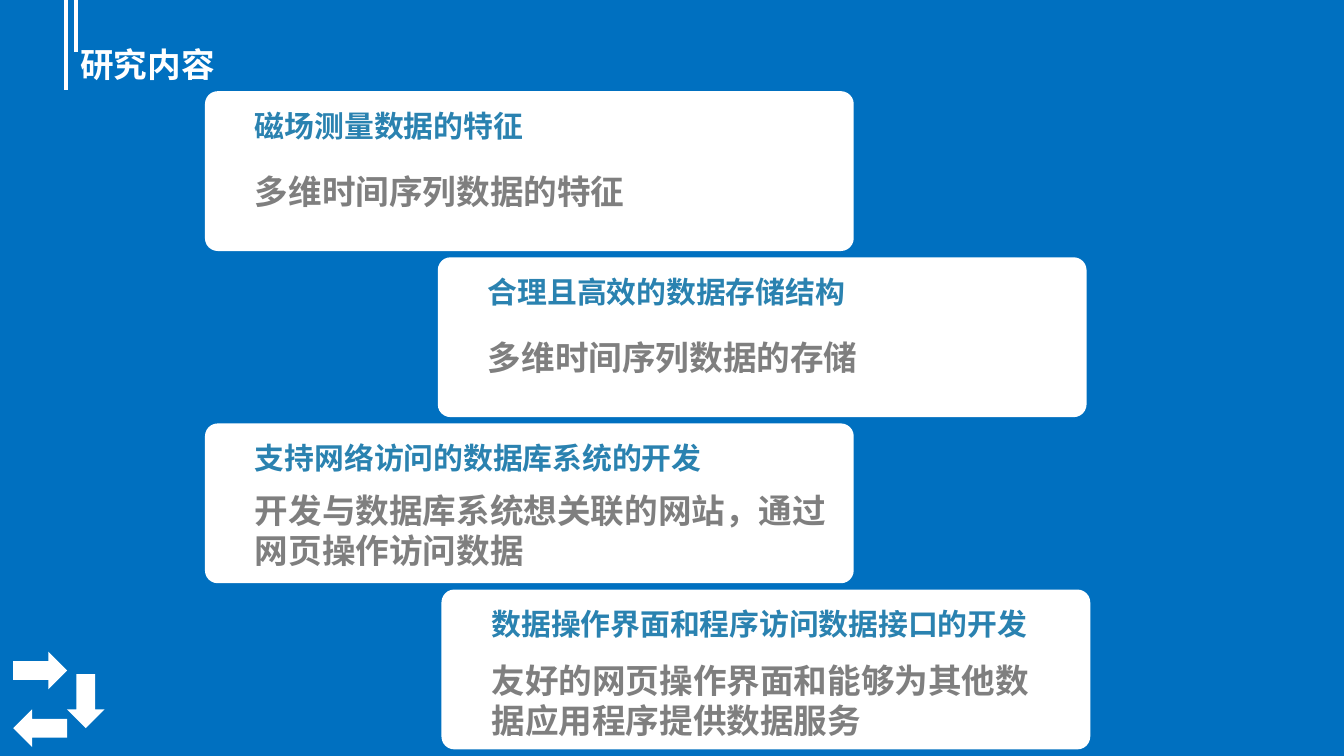
from pptx import Presentation
from pptx.dml.color import RGBColor
from pptx.enum.shapes import MSO_CONNECTOR, MSO_SHAPE
from pptx.enum.text import MSO_ANCHOR
from pptx.oxml.ns import qn
from pptx.util import Cm, Pt

STRAIGHT = MSO_CONNECTOR.STRAIGHT
ROUNDED = MSO_SHAPE.ROUNDED_RECTANGLE
ARROW = MSO_SHAPE.RIGHT_ARROW
MIDDLE = MSO_ANCHOR.MIDDLE
TOP = MSO_ANCHOR.TOP

COLOURS = {"background": "0070C0", "white": "FFFFFF",
           "heading": "2A82B0", "body": "7F7F7F"}
FONT = "DejaVu Sans"
TITLE_FORMAT = {"name": FONT, "size": Pt(18), "bold": True}
HEADING_FORMAT = {"name": FONT, "size": Pt(16), "bold": True}

CARD_WIDTH, CARD_HEIGHT = 12.19, 2.95
CARD_TOP, CARD_PITCH = 1.76, 3.14
# left edge, heading, body, offset of the body from the card top, body width
CARDS = [
    (3.91, "磁场测量数据的特征", "多维时间序列数据的特征", 1.35, 10.7),
    (8.31, "合理且高效的数据存储结构", "多维时间序列数据的存储", 1.35, 10.7),
    (3.91, "支持网络访问的数据库系统的开发",
     "开发与数据库系统想关联的网站，通过网页操作访问数据", 1.09, 11.35),
    (8.38, "数据操作界面和程序访问数据接口的开发",
     "友好的网页操作界面和能够为其他数据应用程序提供数据服务", 1.17, 10.7),
]


def colour(name):
    return RGBColor.from_string(COLOURS[name])


def add_text(shapes, box, text, text_format, colour_name, anchor=TOP):
    label = shapes.add_textbox(*map(Cm, box))
    frame = label.text_frame
    frame.word_wrap = True
    frame.vertical_anchor = anchor
    run = frame.paragraphs[0].add_run()
    run.text = text
    for attribute, value in text_format.items():
        setattr(run.font, attribute, value)
    run.font.color.rgb = colour(colour_name)


def add_white_shape(shapes, preset, box):
    shape = shapes.add_shape(preset, *map(Cm, box))
    shape.shadow.inherit = False
    shape.fill.solid()
    shape.fill.fore_color.rgb = colour("white")
    return shape


def add_header(slide, left, top, width, height):
    """Two bars hanging from the top edge, with the slide title beside them."""
    for offset, length in ((0, 1.7), (0.18, 0.99)):
        x = Cm(left + offset)
        bar = slide.shapes.add_connector(STRAIGHT, x, Cm(top), x, Cm(top + length))
        bar.line.color.rgb = colour("white")
        bar.line.width = Pt(2.25)
        properties = bar._element.spPr
        properties.append(properties.makeelement(qn("a:effectLst"), {}))
    add_text(slide.shapes, (left + 0.02, top + 0.51, width, height),
             "研究内容", TITLE_FORMAT, "white", MIDDLE)


def add_arrow_cycle(slide, left, top):
    """Three arrows turning right, down and back left."""
    for x, y, rotation in ((0, 0, 0), (0.86, 0.58, 90), (0, 1.09, 180)):
        arrow = add_white_shape(slide.shapes, ARROW, (left + x, top + y, 1.02, 0.71))
        arrow.line.fill.background()
        arrow.rotation = rotation


def add_card(slide, left, top, width, height, heading, body, body_offset, body_width):
    shapes = slide.shapes.add_group_shape().shapes
    panel = add_white_shape(shapes, ROUNDED, (left, top, width, height))
    panel.adjustments[0] = 0.07
    panel.line.color.rgb = colour("white")
    panel.line.width = Pt(2)
    text_left = left + 0.66
    add_text(shapes, (text_left, top + body_offset, body_width, 1),
             body, TITLE_FORMAT, "body")
    add_text(shapes, (text_left, top + 0.15, 11, 0.93),
             heading, HEADING_FORMAT, "heading")


def main():
    deck = Presentation()
    deck.slide_width, deck.slide_height = Cm(25.4), Cm(14.29)
    slide = deck.slides.add_slide(deck.slide_layouts[6])
    background = slide.background.fill
    background.solid()
    background.fore_color.rgb = colour("background")

    add_header(slide, 1.25, 0, 22.86, 1.42)
    add_arrow_cycle(slide, 0.25, 12.32)
    for row, (left, *content) in enumerate(CARDS):
        add_card(slide, left, CARD_TOP + row * CARD_PITCH,
                 CARD_WIDTH, CARD_HEIGHT, *content)
    deck.save("out.pptx")


if __name__ == "__main__":
    main()
